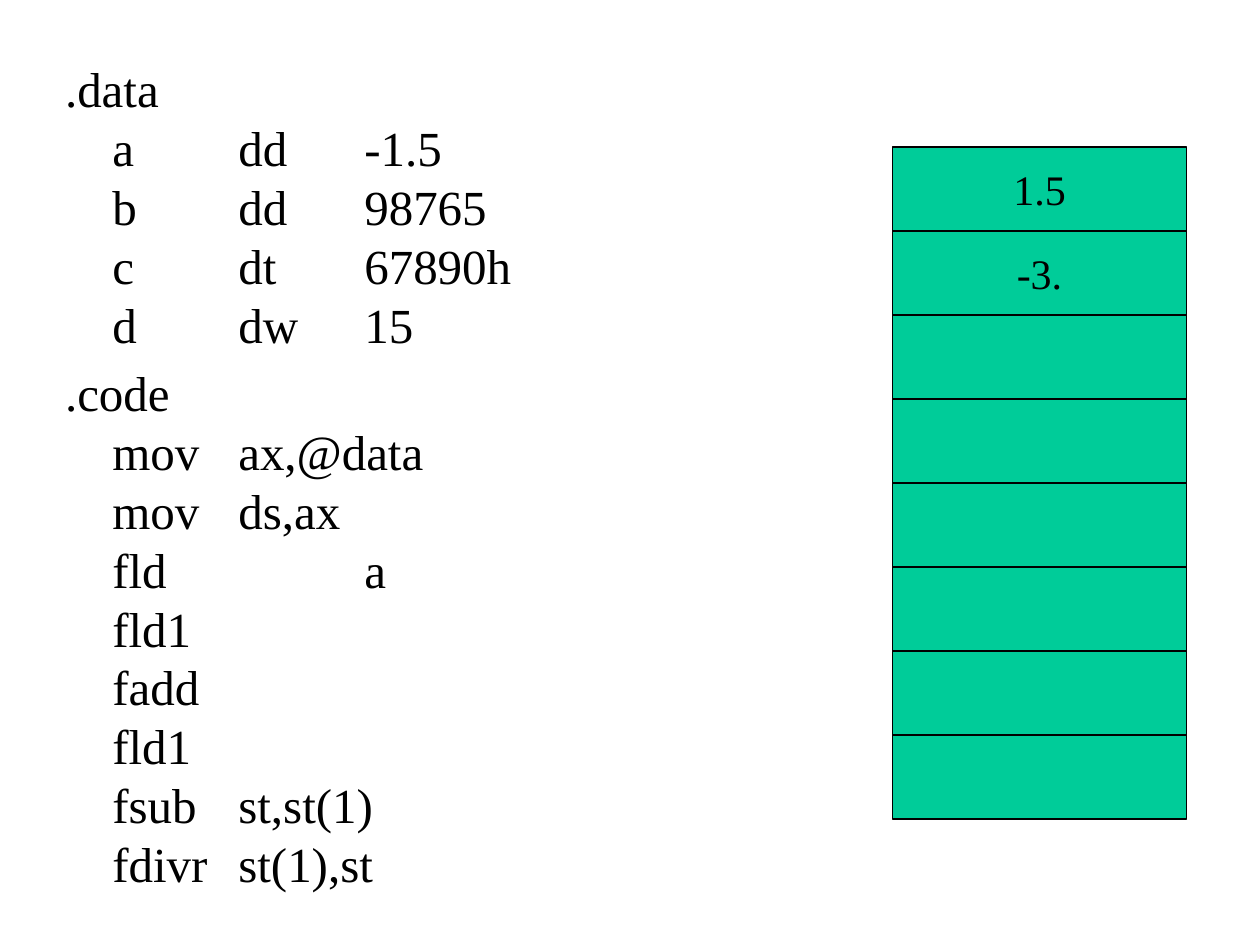
from pptx import Presentation
from pptx.dml.color import RGBColor
from pptx.enum.shapes import MSO_SHAPE
from pptx.enum.text import MSO_ANCHOR, MSO_AUTO_SIZE, PP_ALIGN
from pptx.util import Pt
from lxml import etree

RECTANGLE = MSO_SHAPE.RECTANGLE
MIDDLE = MSO_ANCHOR.MIDDLE
NO_FIT = MSO_AUTO_SIZE.NONE
CENTER = PP_ALIGN.CENTER
DRAWING_NS = "{http://schemas.openxmlformats.org/drawingml/2006/main}"


def color(hex_code):
    """Return the colour for a hex string."""
    return RGBColor.from_string(hex_code)


def add_text(paragraph, text, size):
    """Add a black Times New Roman run to a paragraph."""
    run = paragraph.add_run()
    run.text = text
    run.font.name = "Times New Roman"
    run.font.size = Pt(size)
    run.font.color.rgb = color("000000")


SECTIONS = [
    [".data", "a\tdd\t-1.5", "b\tdd\t98765", "c\tdt\t67890h", "d\tdw\t15"],
    [".code", "mov\tax,@data", "mov\tds,ax", "fld\t\ta", "fld1", "fadd",
     "fld1", "fsub\tst,st(1)", "fdivr\tst(1),st\t"],
]
STACK = ["1.5", "-3.", "", "", "", "", "", ""]
REGISTER_HEIGHT = 48

presentation = Presentation()
presentation.slide_width = Pt(720)
presentation.slide_height = Pt(540)
slide = presentation.slides.add_slide(presentation.slide_layouts[1])
unused_title = slide.shapes.title.element
unused_title.getparent().remove(unused_title)

# Assembly listing
listing = slide.placeholders[1]
listing.left, listing.top = Pt(30), Pt(30)
listing.width, listing.height = Pt(324), Pt(492)
listing_text = listing.text_frame
listing_text.auto_size = NO_FIT
for index, section in enumerate(SECTIONS):
    paragraph = listing_text.add_paragraph() if index else listing_text.paragraphs[0]
    paragraph.space_before = Pt(5.6)
    properties = paragraph._p.get_or_add_pPr()
    properties.set("marL", str(Pt(27)))
    properties.set("indent", str(-Pt(27)))
    properties.set("defTabSz", str(Pt(72)))
    etree.SubElement(properties, DRAWING_NS + "buNone")
    for line_index, line in enumerate(section):
        if line_index:
            paragraph.add_line_break()
        add_text(paragraph, line, 28)

# Register stack
for index, value in enumerate(STACK):
    register = slide.shapes.add_shape(
        RECTANGLE, Pt(510), Pt(84 + index * REGISTER_HEIGHT), Pt(168), Pt(REGISTER_HEIGHT))
    register.shadow.inherit = False
    register.fill.solid()
    register.fill.fore_color.rgb = color("00CC99")
    register.line.color.rgb = color("000000")
    register.line.width = Pt(0.75)
    if value:
        register.text_frame.word_wrap = False
        register.text_frame.vertical_anchor = MIDDLE
        register.text_frame.paragraphs[0].alignment = CENTER
        add_text(register.text_frame.paragraphs[0], value, 24)

presentation.save("out.pptx")
